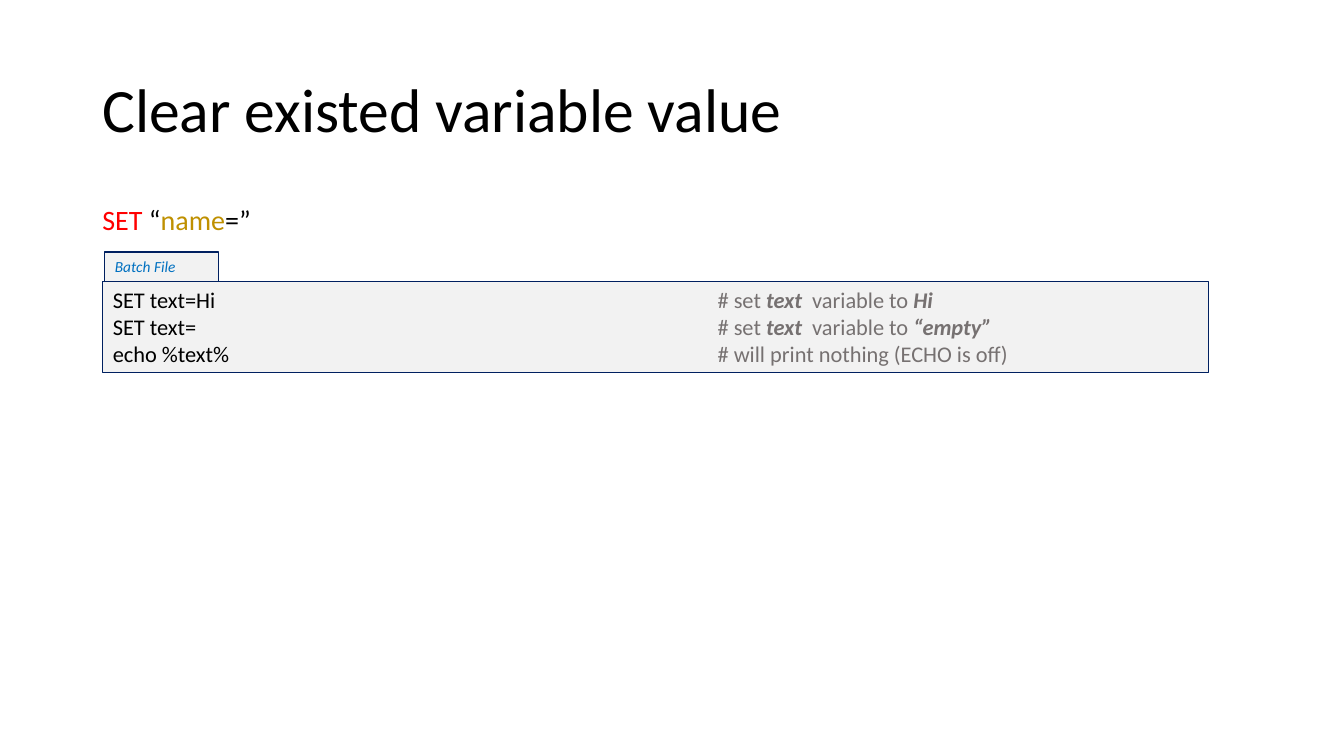
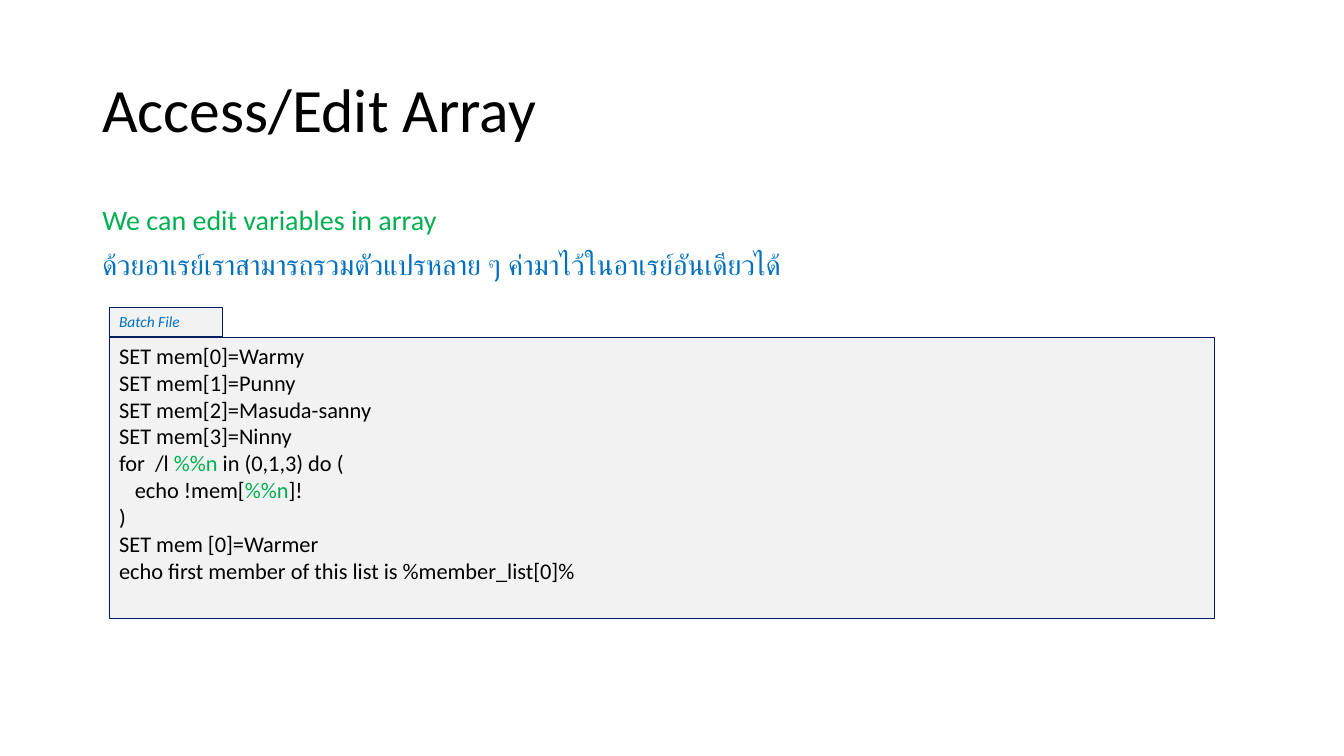
from lxml import etree
from pptx import Presentation
from pptx import util as u
from pptx.dml.color import RGBColor
from pptx.enum import shapes, text
from pptx.oxml import ns

PX = 9525
FONT = "Calibri"
BLACK = RGBColor(0x00, 0x00, 0x00)
RED = RGBColor(0xFF, 0x00, 0x00)
GOLD = RGBColor(0xBF, 0x90, 0x00)
GREEN = RGBColor(0x00, 0xB0, 0x50)
BLUE = RGBColor(0x00, 0x70, 0xC0)
GRAY = RGBColor(0x76, 0x71, 0x71)
PANEL = RGBColor(0xF2, 0xF2, 0xF2)
NAVY = RGBColor(0x00, 0x20, 0x60)

MARGIN, CONTENT_W = 88, 1104
CODE_W = 1053
LABEL_W, LABEL_H = 108, 28
COMMENT_X = 576
CODE_INDENT = 15


def px(n):
    return u.Emu(n * PX)


def write(tf, paragraphs, size, color=BLACK, italic=False, spacing=None,
          before=None, anchor=text.MSO_ANCHOR.TOP, tab=None, indents=()):
    tf.word_wrap = True
    tf.auto_size = text.MSO_AUTO_SIZE.NONE
    tf.vertical_anchor = anchor
    for i, runs in enumerate(paragraphs):
        p = tf.add_paragraph() if i else tf.paragraphs[0]
        p.alignment = text.PP_ALIGN.LEFT
        if spacing:
            p.line_spacing = spacing
        if before:
            p.space_before = u.Pt(before)
        pPr = p._p.get_or_add_pPr()
        if i in indents:
            pPr.set("marL", str(px(CODE_INDENT)))
        if tab:
            tabs = etree.SubElement(pPr, ns.qn("a:tabLst"))
            etree.SubElement(tabs, ns.qn("a:tab"), pos=str(px(tab)), algn="l")
        for content, run_color, strong in runs:
            r = p.add_run()
            r.text = content
            r.font.name = FONT
            r.font.size = u.Pt(size)
            r.font.color.rgb = run_color or color
            r.font.bold = strong
            r.font.italic = italic or strong


def run(content, color=None, strong=False):
    return content, color, strong


def add_text(slide, top, height, paragraphs, **fmt):
    sp = slide.shapes.add_textbox(px(MARGIN), px(top), px(CONTENT_W), px(height))
    write(sp.text_frame, paragraphs, spacing=0.9, **fmt)


def add_slide(prs, title, body):
    s = prs.slides.add_slide(prs.slide_layouts[6])
    add_text(s, 38, 139, [[run(title)]], size=44, anchor=text.MSO_ANCHOR.MIDDLE)
    add_text(s, 192, 457, body, size=20, before=10)
    return s


def add_panel(group, left, top, width, height, paragraphs, **fmt):
    sp = group.shapes.add_shape(shapes.MSO_SHAPE.RECTANGLE,
                                px(left), px(top), px(width), px(height))
    sp.shadow.inherit = False
    sp.fill.solid()
    sp.fill.fore_color.rgb = PANEL
    sp.line.color.rgb = NAVY
    sp.line.width = u.Pt(0.75)
    write(sp.text_frame, paragraphs, **fmt)


def add_code(slide, left, top, height, lines, label_shift=0, **fmt):
    group = slide.shapes.add_group_shape()
    add_panel(group, left, top, CODE_W, height, lines, size=16, **fmt)
    add_panel(group, left + label_shift, top - LABEL_H, LABEL_W, LABEL_H,
              [[run("Batch File")]], size=11, color=BLUE, italic=True)


def set_comment(code, value):
    return [run(code + "\t"), run("# set ", GRAY), run("text ", GRAY, True),
            run(" variable to ", GRAY), run(value, GRAY, True)]


def build_clear_variable(prs):
    s = add_slide(prs, "Clear existed variable value", [
        [run("SET", RED), run(" “"), run("name", GOLD), run("=”")],
    ])
    add_code(s, 98, 268, 87, [
        set_comment("SET text=Hi", "Hi"),
        set_comment("SET text=", "“empty”"),
        [run("echo %text%\t"), run("# will print nothing (ECHO is off)", GRAY)],
    ], label_shift=2, tab=COMMENT_X)


def build_edit_array(prs):
    s = add_slide(prs, "Access/Edit Array", [
        [run("We can edit variables in array", GREEN)],
        [run("ด้วยอาเรย์เราสามารถรวมตัวแปรหลาย ๆ ค่ามาไว้ในอาเรย์อันเดียวได้", BLUE)],
    ])
    members = ["Warmy", "Punny", "Masuda-sanny", "Ninny"]
    lines = [[run(f"SET mem[{i}]={name}")] for i, name in enumerate(members)]
    lines += [
        [run("for  /l "), run("%%n ", GREEN), run("in (0,1,3) do (")],
        [run("echo !mem["), run("%%n", GREEN), run("]!")],
        [run(")")],
        [run("SET mem [0]=Warmer")],
        [run("echo first member of this list is %member_list[0]%")],
    ]
    add_code(s, 104, 321, 268, lines, indents=(len(members) + 1,))


def main():
    prs = Presentation()
    prs.slide_width, prs.slide_height = px(1280), px(720)
    build_clear_variable(prs)
    build_edit_array(prs)
    prs.save("out.pptx")


if __name__ == "__main__":
    main()
